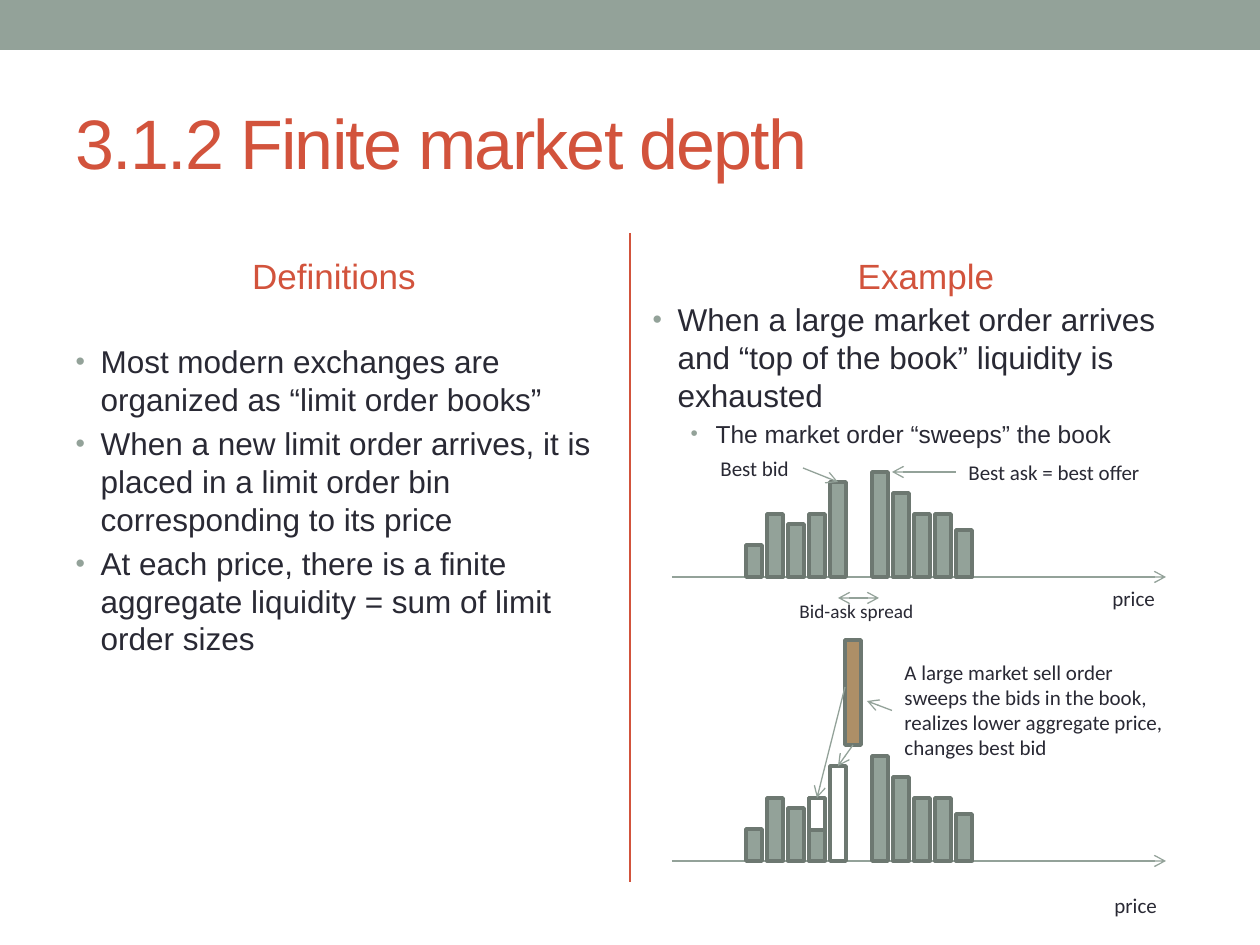
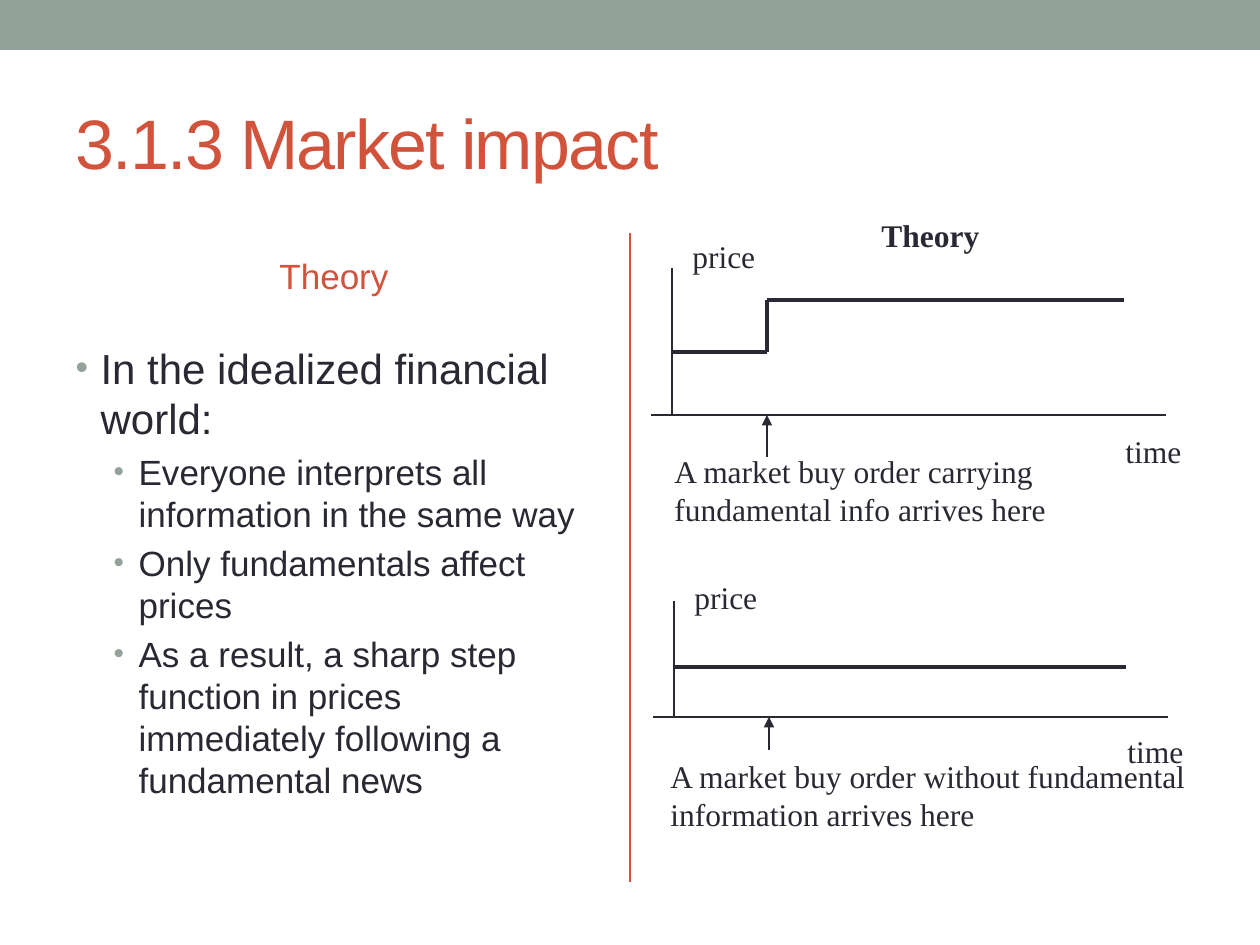
from lxml import etree
from pptx import Presentation
from pptx.dml.color import RGBColor
from pptx.enum.shapes import MSO_CONNECTOR, MSO_SHAPE
from pptx.enum.text import MSO_ANCHOR, MSO_AUTO_SIZE, PP_ALIGN
from pptx.oxml.ns import qn
from pptx.util import Emu, Pt

SAGE = RGBColor(0x93, 0xA2, 0x99)
EDGE = RGBColor(0x6D, 0x78, 0x71)
RUST = RGBColor(0xD2, 0x53, 0x3C)
INK = RGBColor(0x29, 0x29, 0x34)
TAN = RGBColor(0xAD, 0x8F, 0x67)
WHITE = RGBColor(0xFF, 0xFF, 0xFF)
RECT = MSO_SHAPE.RECTANGLE
STRAIGHT = MSO_CONNECTOR.STRAIGHT
MIDDLE = MSO_ANCHOR.MIDDLE
GROW, FIXED = MSO_AUTO_SIZE.SHAPE_TO_FIT_TEXT, MSO_AUTO_SIZE.NONE
LEFT, CENTER = PP_ALIGN.LEFT, PP_ALIGN.CENTER
TOP, WEST, SOUTH, EAST = range(4)

SCALE = 914400 / 126
SIZE = (1260, 945)
STEP, BAR = 21, 16
BIDS = [32, 63, 53, 63, 95]
ASKS = [105, 84, 63, 63, 47]


def px(num):
    """Turn px into EMU."""
    return Emu(round(num * SCALE))


def style(para, size, color, name, bold=False):
    """Set the font of a whole paragraph."""
    font = para.font
    font.size, font.name, font.bold = Pt(size), name, bold
    font.color.rgb = color


def rect(slide, box, fill, edge=None):
    """Draw a flat rectangle with an optional outline."""
    shape = slide.shapes.add_shape(RECT, *map(px, box))
    shape.shadow.inherit = False
    shape.fill.solid()
    shape.fill.fore_color.rgb = fill
    if edge:
        shape.line.color.rgb = edge
        shape.line.width = Pt(2.08)
    else:
        shape.line.fill.background()
    return shape


def link(slide, start, end, color, width=0.75, head=None, tail=None):
    """Draw a line between points or (shape, site) pairs."""
    spots = [(0, 0) if hasattr(spot[0], "shape_id") else spot for spot in (start, end)]
    line = slide.shapes.add_connector(STRAIGHT, *(px(n) for spot in spots for n in spot))
    for spot, join in ((start, line.begin_connect), (end, line.end_connect)):
        if hasattr(spot[0], "shape_id"):
            join(*spot)
    line.line.color.rgb = color
    line.line.width = Pt(width)
    for tag, kind in (("a:headEnd", head), ("a:tailEnd", tail)):
        if kind:
            etree.SubElement(line.line._get_or_add_ln(), qn(tag), type=kind)
    etree.SubElement(line._element.spPr, qn("a:effectLst"))
    return line


def label(slide, box, text, size, name, bold=False, wrap=False):
    """Place a text box that fits its text."""
    shape = slide.shapes.add_textbox(*map(px, box))
    frame = shape.text_frame
    frame.text = text
    frame.word_wrap = wrap
    frame.auto_size = GROW
    for para in frame.paragraphs:
        style(para, size, INK, name, bold)
    return shape


def holder(slide, idx, box):
    """Move a placeholder and return its text frame."""
    shape = slide.placeholders[idx]
    shape.left, shape.top, shape.width, shape.height = map(px, box)
    shape.text_frame.auto_size = FIXED
    return shape.text_frame


def bullet(para):
    """Give a paragraph a hanging sage bullet."""
    props = para._p.get_or_add_pPr()
    props.set("marL", str(px(63 if para.level else 25)))
    props.set("indent", str(px(-25)))
    paint = etree.SubElement(props, qn("a:buClr"))
    etree.SubElement(paint, qn("a:srgbClr"), val=str(SAGE))
    etree.SubElement(props, qn("a:buSzPct"), val="85000")
    etree.SubElement(props, qn("a:buFont"), typeface="Arial")
    etree.SubElement(props, qn("a:buChar"), char="•")


def column(slide, idx, head, left, box, items):
    """Fill one column with its heading and bullet list."""
    frame = holder(slide, idx, (left, 231, 542, 88))
    frame.text = head
    frame.vertical_anchor = MIDDLE
    para = frame.paragraphs[0]
    para.alignment = CENTER
    style(para, 20, RUST, "Arial")
    frame = holder(slide, idx + 1, box)
    for num, (level, size, text) in enumerate(items):
        para = frame.add_paragraph() if num else frame.paragraphs[0]
        para.text, para.level = text, level
        bullet(para)
        style(para, size, INK, "Arial")


def base(deck, title):
    """Add a slide with the band, divider and title."""
    slide = deck.slides.add_slide(deck.slide_layouts[4])
    rect(slide, (0, 0, SIZE[0], 50), SAGE)
    link(slide, (630, 233), (630, 882), RUST, 1.5)
    frame = holder(slide, 0, (63, 73, 1134, 136))
    frame.text = title
    frame.vertical_anchor = MIDDLE
    para = frame.paragraphs[0]
    para.alignment = LEFT
    style(para, 40, RUST, "Arial")
    para.font._element.set("spc", "-100")
    return slide


def book(slide, x, y, swept=False):
    """Draw an order book on a price axis and return its bids and asks."""
    link(slide, (x, y), (x + 494, y), SAGE, tail="arrow")
    sides = []
    for first, sizes in ((0, BIDS), (len(BIDS) + 1, ASKS)):
        side = []
        for slot, high in enumerate(sizes, first):
            fill = WHITE if swept and slot == len(BIDS) - 1 else SAGE
            box = (x + 74 + slot * STEP, y - high, BAR, high)
            side.append(rect(slide, box, fill, EDGE))
        sides.append(side)
    return sides


def quotes(slide, x, y):
    """Draw the resting book with its best prices and spread."""
    bids, _ = book(slide, x, y)
    label(slide, (x + 428, y + 2, 68, 38), "price", 12, "Calibri")
    ask = label(slide, (x + 284, y - 124, 199, 38), "Best ask = best offer", 12, "Calibri")
    link(slide, (ask, WEST), (x + 220, y - 105), SAGE, tail="arrow")
    bid = label(slide, (x + 36, y - 128, 95, 38), "Best bid", 12, "Calibri")
    link(slide, (bid, EAST), (bids[-1], TOP), SAGE, tail="arrow")
    link(slide, (x + 166, y + 21), (x + 207, y + 21), SAGE, head="arrow", tail="arrow")
    label(slide, (x + 115, y + 16, 140, 37), "Bid-ask spread", 11, "Calibri")


def sweep(slide, x, y):
    """Draw the book after a large sell order sweeps the bids."""
    bids, _ = book(slide, x, y, swept=True)
    label(slide, (x + 430, y + 25, 68, 38), "price", 12, "Calibri")
    order = rect(slide, (x + 173, y - 221, BAR, 105), TAN, EDGE)
    text = ("A large market sell order\nsweeps the bids in the book,\n"
            "realizes lower aggregate price,\nchanges best bid")
    note = label(slide, (x + 220, y - 208, 286, 115), text, 12, "Calibri")
    link(slide, (note, WEST), (x + 195, y - 160), SAGE, tail="arrow")
    part = rect(slide, (x + 74 + 3 * STEP, y - 63, BAR, 32), WHITE, EDGE)
    link(slide, (order, SOUTH), (bids[-1], TOP), SAGE, tail="arrow")
    link(slide, (x + 173, y - 174), (part, TOP), SAGE, tail="arrow")


def graph(slide, x, y, zoom, jump, note, text):
    """Draw price over time from the origin, with an arrival note."""
    def rise(num):
        return y - round(num * zoom)

    link(slide, (x - 21, y), (x + 494, y), INK)
    link(slide, (x, y), (x, rise(147)), INK)
    link(slide, (x + 95, rise(-42)), (x + 95, y), INK, tail="triangle")
    path = [(x, rise(63)), (x + 95, rise(63))]
    if jump:
        path.append((x + 95, rise(63 + jump)))
    path.append((x + 452, rise(63 + jump)))
    for start, end in zip(path, path[1:]):
        link(slide, start, end, INK, 2.5)
    serif = "Times New Roman"
    label(slide, (x + 8, rise(184), 88, 50), "price", 18, serif)
    label(slide, (x + 441, rise(-11), 82, 50), "time", 18, serif)
    left, drop, wide = note
    label(slide, (x + left, y + drop, wide, 126), text, 18, serif, wrap=True)


def depth(deck):
    """Build the market depth slide."""
    slide = base(deck, "3.1.2 Finite market depth")
    column(slide, 1, "Definitions", 63, (63, 336, 542, 544), [
        (0, 18, "Most modern exchanges are organized as “limit order books”"),
        (0, 18, "When a new limit order arrives, it is placed in a limit order bin "
                "corresponding to its price"),
        (0, 18, "At each price, there is a finite aggregate liquidity = sum of limit "
                "order sizes")])
    column(slide, 3, "Example", 655, (640, 294, 557, 544), [
        (0, 18, "When a large market order arrives and “top of the book” liquidity is "
                "exhausted"),
        (1, 14, "The market order “sweeps” the book")])
    quotes(slide, 672, 577)
    sweep(slide, 672, 861)


def impact(deck):
    """Build the market impact slide."""
    slide = base(deck, "3.1.3 Market impact")
    column(slide, 1, "Theory", 63, (63, 336, 542, 544), [
        (0, 24, "In the idealized financial world:"),
        (1, 20, "Everyone interprets all information in the same way"),
        (1, 20, "Only fundamentals affect prices"),
        (1, 20, "As a result, a sharp step function in prices immediately following a "
                "fundamental news")])
    for idx in (3, 4):
        spare = slide.placeholders[idx]._element
        spare.getparent().remove(spare)
    label(slide, (869, 210, 125, 50), "Theory", 18, "Times New Roman", bold=True)
    graph(slide, 672, 415, 1, 52, (-10, 31, 473),
          "A market buy order carrying fundamental info arrives here")
    graph(slide, 674, 717, 0.79, 0, (-16, 34, 551),
          "A market buy order without fundamental information arrives here")


def main():
    """Build and save the deck."""
    deck = Presentation()
    deck.slide_width, deck.slide_height = map(px, SIZE)
    depth(deck)
    impact(deck)
    deck.save("out.pptx")


if __name__ == "__main__":
    main()
